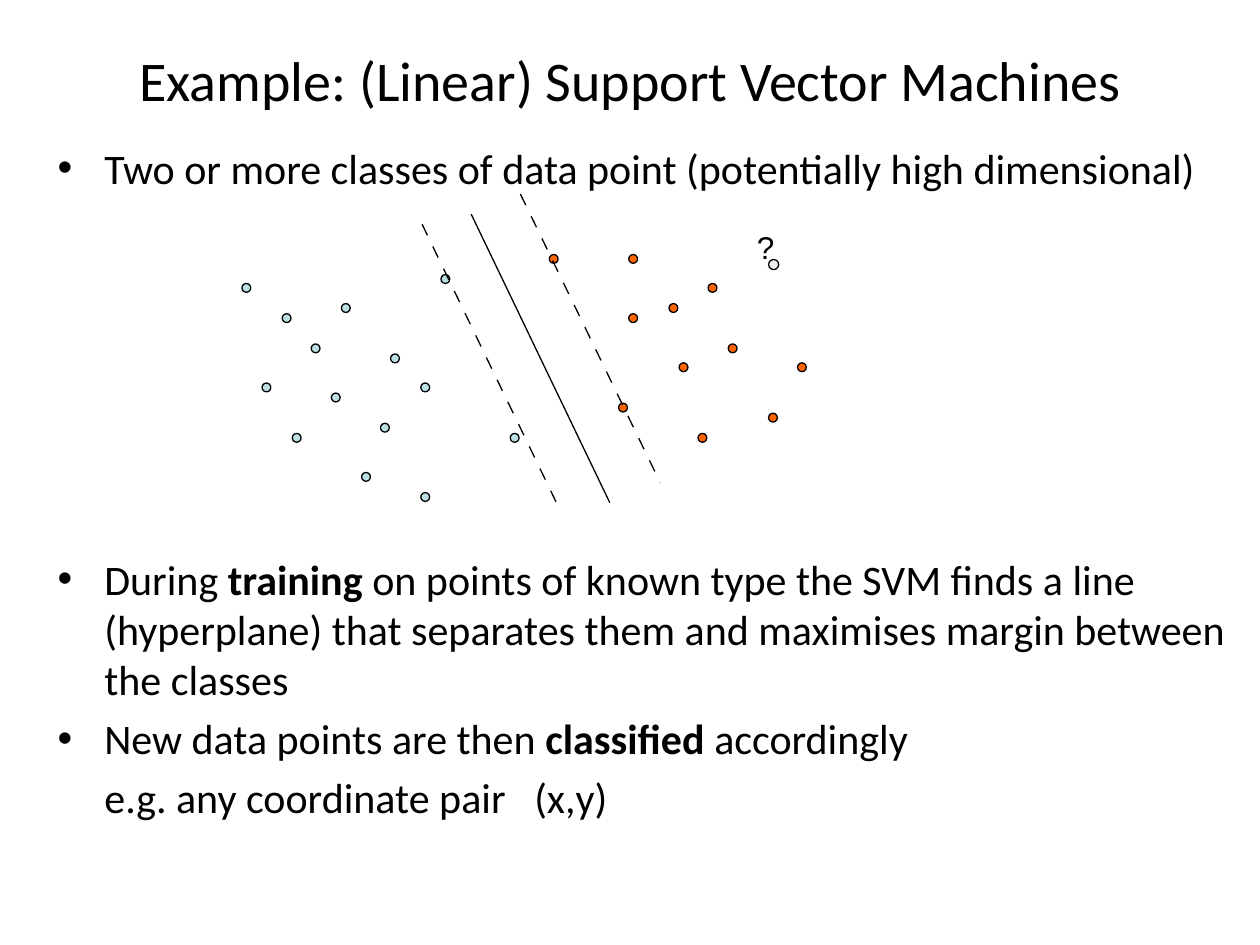
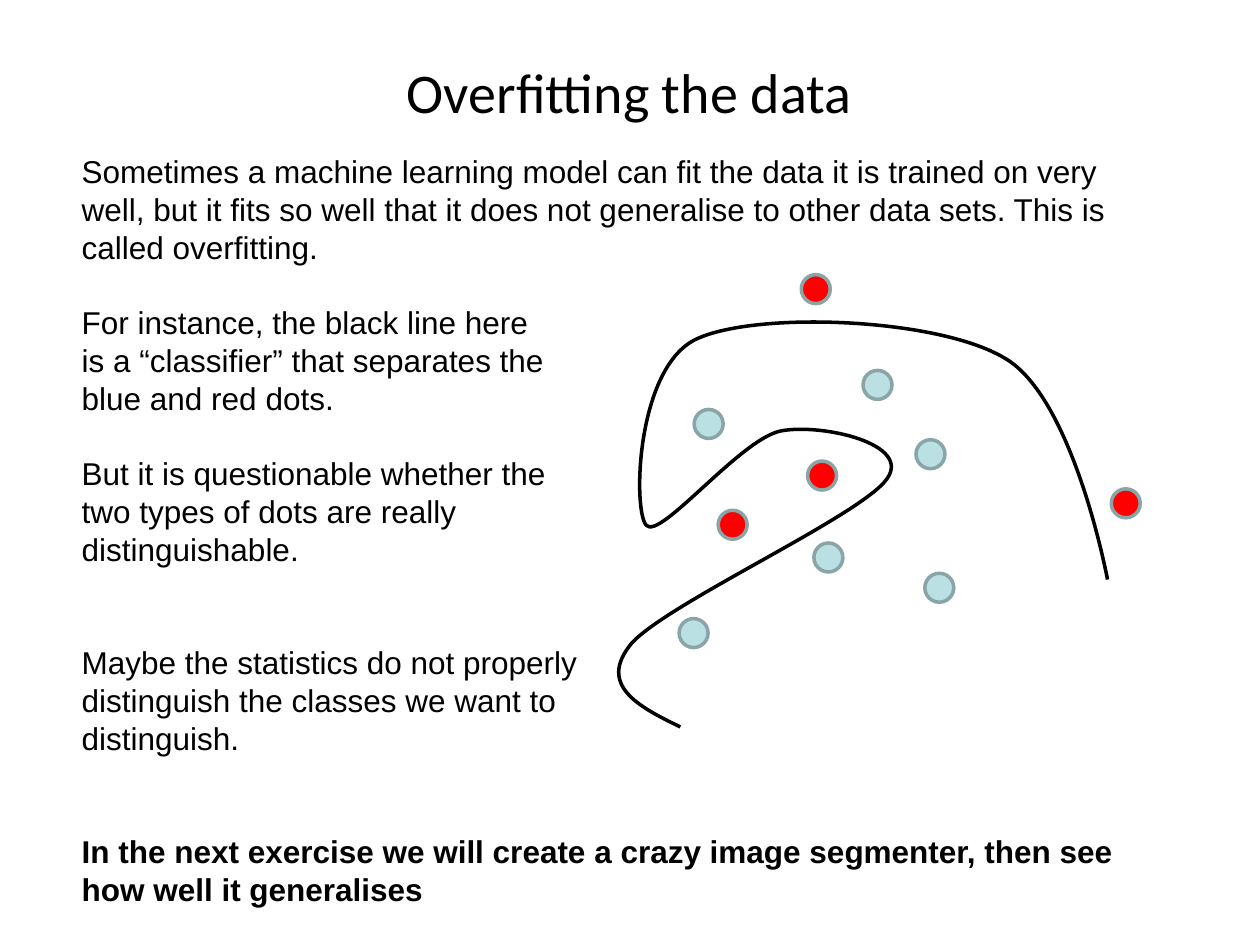
from lxml.etree import SubElement
from pptx import Presentation
from pptx.dml.color import RGBColor
from pptx.enum.shapes import MSO_CONNECTOR, MSO_SHAPE
from pptx.enum.text import MSO_ANCHOR, PP_ALIGN
from pptx.oxml.ns import qn
from pptx.util import Inches, Pt

COLORS = {
    "black": "000000",
    "blue": "BBE0E3",
    "orange": "FF6600",
    "red": "FF0000",
    "unknown": "EEEEEE",
    "rim": "8AA5A7",
}
HEADING_FONT, NOTE_FONT = "Calibri", "Arial"
BODY_SIZE, NOTE_SIZE, NOTE_LINE = 24, 18, 21.58
BULLET_INDENT = 0.38
SMALL_DOT, LARGE_DOT = 0.07, 0.23

BULLETS = [
    ("Two or more classes of data point (potentially high dimensional)", 0),
    ("During **training **on points of known type the SVM finds a line "
     "(hyperplane) that separates them and maximises margin between the classes", 206),
    ("New data points are then **classified** accordingly", 4.8),
]
NOTES = [
    ("Sometimes a machine learning model can fit the data it is trained on very well, "
     "but it fits so well that it does not generalise to other data sets. "
     "This is called overfitting.", 0),
    ("For instance, the black line here", 1),
    ("is a “classifier” that separates the", 0),
    ("blue and red dots.", 0),
    ("But it is questionable whether the", 1),
    ("two types of dots are really", 0),
    ("distinguishable.", 0),
    ("Maybe the statistics do not properly", 2),
    ("distinguish the classes we want to", 0),
    ("distinguish.", 0),
    ("**In the next exercise we will create a crazy image segmenter, "
     "then see how well it generalises**", 2),
]
SVM_POINTS = {
    "blue": [(2.24, 2.49), (2.47, 2.73), (3.1, 2.81), (2.63, 3.12), (2.32, 3.44),
             (3.34, 3.04), (2.08, 3.04), (3.02, 3.36), (1.92, 2.25), (4.05, 3.44),
             (2.87, 3.75), (3.5, 2.18), (3.34, 3.91), (2.71, 2.41)],
    "orange": [(5.62, 2.25), (4.99, 2.49), (4.36, 2.02), (4.99, 2.02), (5.78, 2.73),
               (5.31, 2.41), (5.39, 2.88), (4.91, 3.2), (6.1, 3.28), (5.54, 3.44),
               (6.33, 2.88)],
}
OVERFIT_POINTS = {
    "blue": [(5.51, 3.25), (7.27, 3.49), (6.85, 2.94), (6.46, 4.31), (5.39, 4.91),
             (7.34, 4.55)],
    "red": [(6.41, 3.66), (8.82, 3.88), (6.36, 2.18), (5.7, 4.05)],
}
CLASSIFIER_BOUNDS = ((4.91, 2.56), (8.79, 5.77))
CLASSIFIER_START = (5.4, 5.77)
CLASSIFIER_CURVES = [
    ((5.07, 5.61), (4.74, 5.44), (5.01, 5.11)),
    ((5.29, 4.79), (6.84, 4.09), (7.04, 3.8)),
    ((7.24, 3.52), (6.52, 3.36), (6.2, 3.42)),
    ((5.88, 3.48), (5.24, 4.29), (5.13, 4.17)),
    ((5.02, 4.05), (5.05, 2.91), (5.53, 2.69)),
    ((6, 2.47), (7.43, 2.52), (7.97, 2.84)),
    ((8.52, 3.15), (8.79, 4.6), (8.79, 4.6)),
]


def rgb(name):
    """Return the named colour."""
    return RGBColor.from_string(COLORS[name])


def add_text_frame(slide, left, top, width, height):
    """Add a wrapping text box and return its text frame."""
    box = slide.shapes.add_textbox(Inches(left), Inches(top), Inches(width), Inches(height))
    box.text_frame.word_wrap = True
    return box.text_frame


def next_paragraph(text_frame):
    """Return the empty first paragraph, or a new one."""
    first = text_frame.paragraphs[0]
    return text_frame.add_paragraph() if first.runs else first


def write(paragraph, text, font_name, size):
    """Write text, with the parts between double asterisks in bold."""
    for index, part in enumerate(text.split("**")):
        if part:
            run = paragraph.add_run()
            run.text = part
            run.font.name = font_name
            run.font.size = Pt(size)
            run.font.bold = index % 2 == 1
            run.font.color.rgb = rgb("black")


def add_title(slide, text, left, top):
    """Add the centred slide title."""
    text_frame = add_text_frame(slide, left, top, 8.99, 0.84)
    text_frame.vertical_anchor = MSO_ANCHOR.MIDDLE
    paragraph = text_frame.paragraphs[0]
    paragraph.alignment = PP_ALIGN.CENTER
    write(paragraph, text, HEADING_FONT, 32)


def add_indented(text_frame, space_before, first_line):
    """Add a paragraph at the bullet indent and return it."""
    paragraph = next_paragraph(text_frame)
    paragraph.space_before = Pt(space_before)
    properties = paragraph._p.get_or_add_pPr()
    properties.set("marL", str(Inches(BULLET_INDENT)))
    properties.set("indent", str(Inches(first_line)))
    return paragraph


def add_bullet(text_frame, text, space_before):
    """Add a paragraph with a hanging bullet."""
    paragraph = add_indented(text_frame, space_before, -0.37)
    properties = paragraph._p.get_or_add_pPr()
    SubElement(properties, qn("a:buFont"), typeface=NOTE_FONT)
    SubElement(properties, qn("a:buChar"), char="•")
    write(paragraph, text, HEADING_FONT, BODY_SIZE)


def add_example(text_frame, label, pair, gap):
    """Add an unbulleted example, its pair set apart by a widened space."""
    paragraph = add_indented(text_frame, 4.8, 0)
    for part in (label, " ", pair):
        write(paragraph, part, HEADING_FONT, BODY_SIZE)
    paragraph.runs[1].font._element.set("spc", str(round(gap * 100)))


def add_note(text_frame, text, blank_lines):
    """Add a note line below a gap of whole lines."""
    paragraph = next_paragraph(text_frame)
    paragraph.line_spacing = Pt(NOTE_LINE)
    paragraph.space_before = Pt(NOTE_LINE * blank_lines)
    write(paragraph, text, NOTE_FONT, NOTE_SIZE)


def add_dot(slide, left, top, size, fill, line, line_width):
    """Add a round data point."""
    dot = slide.shapes.add_shape(
        MSO_SHAPE.OVAL, Inches(left), Inches(top), Inches(size), Inches(size))
    dot.shadow.inherit = False
    dot.fill.solid()
    dot.fill.fore_color.rgb = rgb(fill)
    dot.line.color.rgb = rgb(line)
    dot.line.width = Pt(line_width)


def add_dots(slide, points, size, line, line_width):
    """Add every data point of each class."""
    for fill, positions in points.items():
        for left, top in positions:
            add_dot(slide, left, top, size, fill, line, line_width)


def add_boundary(slide, start, end, dashed=False):
    """Add a straight boundary line, dashed for a margin."""
    line = slide.shapes.add_connector(
        MSO_CONNECTOR.STRAIGHT, *[Inches(value) for value in (*start, *end)])
    line.line.color.rgb = rgb("black")
    line.line.width = Pt(0.75)
    if dashed:
        dashes = SubElement(line.line._get_or_add_ln(), qn("a:custDash"))
        SubElement(dashes, qn("a:ds"), d="956000", sp="956000")
    SubElement(line._element.spPr, qn("a:effectLst"))


def add_curve(slide, bounds, start, curves):
    """Draw joined cubic curves as one open outline within its bounds."""
    (left, top), (right, bottom) = bounds
    builder = slide.shapes.build_freeform(Inches(left), Inches(top))
    builder.add_line_segments([(Inches(right), Inches(bottom))], close=False)
    outline = builder.convert_to_shape()
    geometry = next(outline._element.iter(qn("a:path")))
    for child in list(geometry):
        geometry.remove(child)
    for tag, points in [("a:moveTo", [start])] + [("a:cubicBezTo", curve) for curve in curves]:
        segment = SubElement(geometry, qn(tag))
        for x, y in points:
            SubElement(segment, qn("a:pt"), x=str(Inches(x - left)), y=str(Inches(y - top)))
    outline.shadow.inherit = False
    outline.fill.background()
    outline.line.color.rgb = rgb("black")
    outline.line.width = Pt(2)


def build_svm_slide(slide):
    """Build the support vector machine slide."""
    add_title(slide, "Example: (Linear) Support Vector Machines", 0.51, 0.21)
    text_frame = add_text_frame(slide, 0.35, 1.08, 9.49, 6.14)
    for text, space_before in BULLETS:
        add_bullet(text_frame, text, space_before)
    add_example(text_frame, "e.g. any coordinate pair", "(x,y)", 10.85)
    add_dots(slide, SVM_POINTS, SMALL_DOT, "black", 0.75)
    add_boundary(slide, (3.35, 1.78), (4.45, 4.06), dashed=True)
    add_boundary(slide, (3.74, 1.7), (4.84, 3.99))
    add_boundary(slide, (4.13, 1.54), (5.24, 3.83), dashed=True)
    add_dot(slide, 6.1, 2.06, 0.08, "unknown", "black", 0.75)
    question = add_text_frame(slide, 5.91, 1.76, 0.36, 0.38)
    write(question.paragraphs[0], "?", NOTE_FONT, NOTE_SIZE)


def build_overfitting_slide(slide):
    """Build the overfitting slide."""
    add_title(slide, "Overfitting the data", 0.5, 0.3)
    text_frame = add_text_frame(slide, 0.55, 1.16, 8.69, 6.1)
    for text, blank_lines in NOTES:
        add_note(text_frame, text, blank_lines)
    add_dots(slide, OVERFIT_POINTS, LARGE_DOT, "rim", 2)
    add_curve(slide, CLASSIFIER_BOUNDS, CLASSIFIER_START, CLASSIFIER_CURVES)


def main():
    """Build and save the presentation."""
    presentation = Presentation()
    presentation.slide_width = Inches(10)
    presentation.slide_height = Inches(7.5)
    blank = presentation.slide_layouts[6]
    for build in (build_svm_slide, build_overfitting_slide):
        build(presentation.slides.add_slide(blank))
    presentation.save("out.pptx")


if __name__ == "__main__":
    main()
